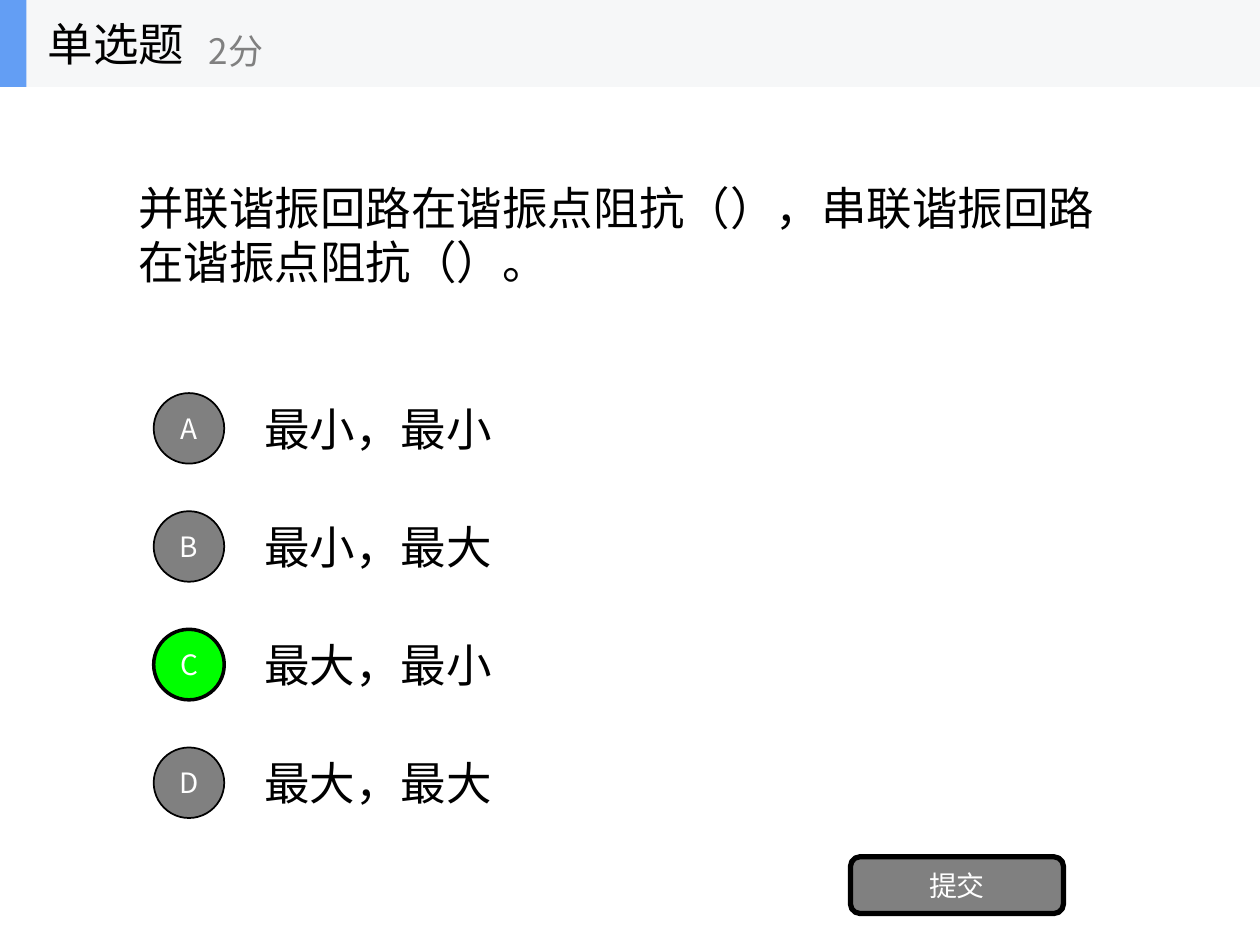
from lxml import etree
from pptx import Presentation
from pptx.dml.color import RGBColor
from pptx.enum.shapes import MSO_SHAPE
from pptx.enum.text import MSO_ANCHOR, PP_ALIGN
from pptx.oxml.ns import qn
from pptx.util import Inches, Pt

RECT, ROUND, OVAL = MSO_SHAPE.RECTANGLE, MSO_SHAPE.ROUNDED_RECTANGLE, MSO_SHAPE.OVAL
MIDDLE = MSO_ANCHOR.MIDDLE
LEFT, CENTER = PP_ALIGN.LEFT, PP_ALIGN.CENTER
BLACK = RGBColor(0x00, 0x00, 0x00)
WHITE = RGBColor(0xFF, 0xFF, 0xFF)
GRAY = RGBColor(0x80, 0x80, 0x80)
GREEN = RGBColor(0x00, 0xFF, 0x00)
PALE = RGBColor(0xF6, 0xF7, 0xF8)
BLUE = RGBColor(0x63, 0x9E, 0xF4)
FONT = "Noto Sans CJK SC"

deck = Presentation()
deck.slide_width = Inches(10)
deck.slide_height = Inches(7.5)
slide = deck.slides.add_slide(deck.slide_layouts[6])


def write(shape, text, size, color, align=LEFT):
    frame = shape.text_frame
    frame.text = text
    frame.word_wrap = True
    frame.vertical_anchor = MIDDLE
    para = frame.paragraphs[0]
    para.alignment = align
    run = para.runs[0]
    run.font.size = Pt(size)
    run.font.name = FONT
    run.font.color.rgb = color
    east = etree.SubElement(run.font._element, qn("a:ea"))
    east.set("typeface", FONT)


def draw(kind, left, top, width, height, fill, line=0):
    shape = slide.shapes.add_shape(
        kind, Inches(left), Inches(top), Inches(width), Inches(height))
    shape.shadow.inherit = False
    shape.fill.solid()
    shape.fill.fore_color.rgb = fill
    if line:
        shape.line.color.rgb = BLACK
        shape.line.width = Pt(line)
    else:
        shape.line.fill.background()
    return shape


draw(RECT, 0, 0, 10, 0.69, PALE)
draw(RECT, 0, 0, 0.21, 0.69, BLUE)

labels = [
    ("单选题", 0.28, 0, 2.08, 0.69, 26, BLACK),
    ("2分", 1.56, 0.12, 2.5, 0.56, 20, GRAY),
    ("并联谐振回路在谐振点阻抗（），串联谐振回路在谐振点阻抗（）。",
     1, 0.69, 8, 2.34, 26, BLACK),
]
choices = ["最小，最小", "最小，最大", "最大，最小", "最大，最大"]
answer = "C"
for row, (letter, choice) in enumerate(zip("ABCD", choices)):
    top = 3.05 + row * 0.9375
    labels.append((choice, 2, top, 7, 0.7, 26, BLACK))
    right = letter == answer
    badge = draw(OVAL, 1.22, top + 0.07, 0.56, 0.56,
                 GREEN if right else GRAY, 2 if right else 1)
    frame = badge.text_frame
    frame.margin_left = frame.margin_right = 0
    write(badge, letter, 16, WHITE, CENTER)

for text, left, top, width, height, size, color in labels:
    box = slide.shapes.add_textbox(
        Inches(left), Inches(top), Inches(width), Inches(height))
    write(box, text, size, color)

button = draw(ROUND, 6.75, 6.8, 1.69, 0.45, GRAY, 3)
write(button, "提交", 16, WHITE, CENTER)

deck.save("out.pptx")
